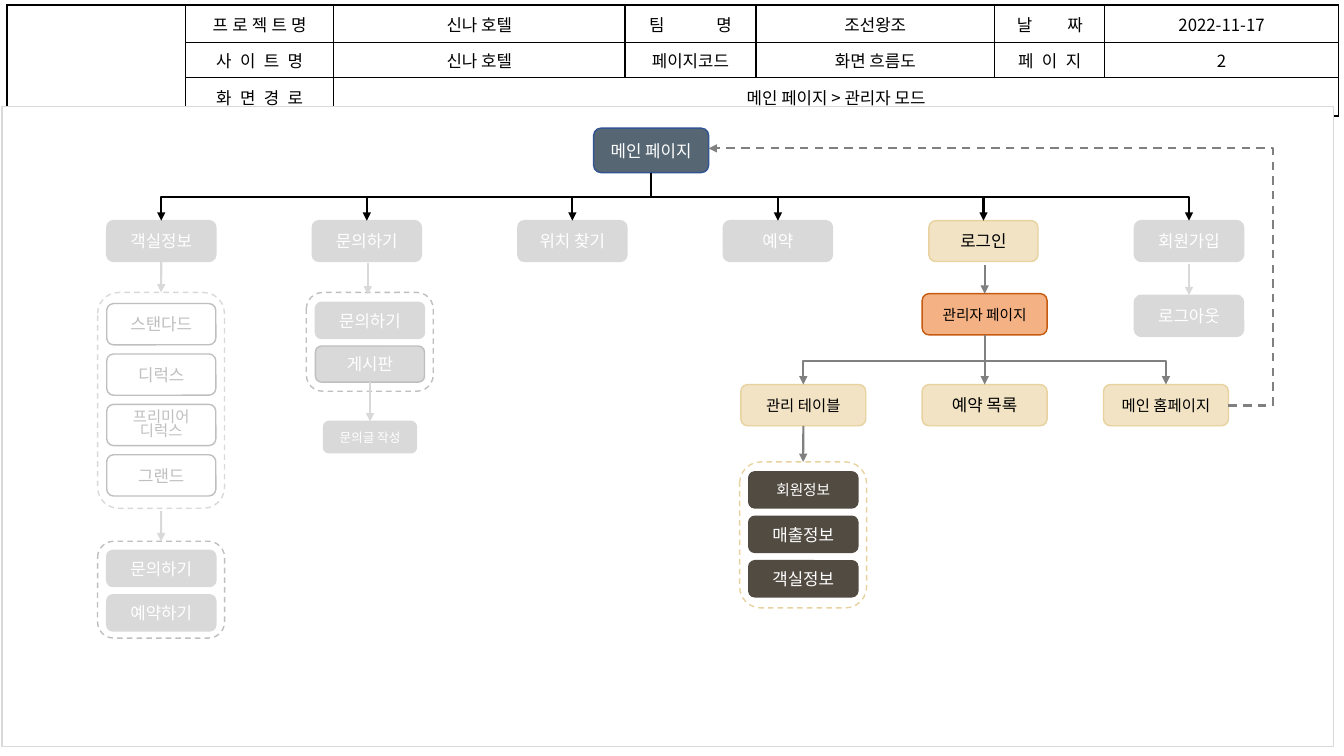
import pptx
import pptx.util
import pptx.dml.color
import pptx.enum.dml
import pptx.enum.shapes
import pptx.enum.text
import pptx.oxml.ns
from lxml import etree

Cm, Pt = pptx.util.Cm, pptx.util.Pt
qn = pptx.oxml.ns.qn
KIND = pptx.enum.shapes.MSO_CONNECTOR
SHAPE = pptx.enum.shapes.MSO_SHAPE
DASH = pptx.enum.dml.MSO_LINE.DASH
FONT = "Noto Sans CJK KR"

BLACK, WHITE, GRAY, PALE, MID = "000000", "FFFFFF", "808080", "D9D9D9", "BFBFBF"
OFF = {"fill": PALE, "edge": PALE, "ink": WHITE}
BOARD = {"fill": PALE, "edge": MID, "ink": WHITE}
ROOM = {"fill": WHITE, "edge": MID, "ink": MID}
CREAM = {"fill": "F1E3C4", "edge": "E8D2A0", "ink": BLACK}
DARK = {"fill": "524B42", "edge": "524B42", "ink": WHITE}
HOME = {"fill": "566773", "edge": "325491", "ink": WHITE}
ADMIN = {"fill": "F4B183", "edge": "C55A11", "ink": BLACK}

WIDTHS = [4.5, 3.73, 7.34, 3.3, 6.02, 2.77, 5.89]
HEIGHTS = [0.95, 0.88, 0.97]
HEAD = [
    [[], [("프로젝트명", 3)], [("신나 호텔", 0)], [("팀", 37), ("명", -1.5)],
     [("조선왕조", 0)], [("날", 25), ("짜", 0)], [("2022-11-17", 0)]],
    [[], [("사이트명", 6)], [("신나 호텔", 0)], [("페이지코드", 0)],
     [("화면 흐름도", 0)], [("페이", 6), ("지", 0)], [("2", 0)]],
    [[], [("화면경로", 6)], [("메인 페이지 > 관리자 모드", 0)], [], [], [], []],
]
MENU = ["객실정보", "문의하기", "위치 찾기", "예약", "로그인", "회원가입"]


def tint(code):
    return pptx.dml.color.RGBColor.from_string(code)


def style(thing, form):
    for name, value in form.items():
        setattr(thing, name, value)


def write(para, text, size, ink, gap=0):
    para.alignment = pptx.enum.text.PP_ALIGN.CENTER
    run = para.add_run()
    run.text = text
    style(run.font, {"name": FONT, "size": Pt(size)})
    run.font.color.rgb = tint(ink)
    props = run.font._element
    etree.SubElement(props, qn("a:ea")).set("typeface", FONT)
    if gap:
        props.set("spc", str(int(gap * 100)))


def box(slide, x, y, w, h, look, text="", size=12, kind=SHAPE.ROUNDED_RECTANGLE):
    shape = slide.shapes.add_shape(kind, Cm(x), Cm(y), Cm(w), Cm(h))
    shape.shadow.inherit = False
    if look["fill"]:
        shape.fill.solid()
        shape.fill.fore_color.rgb = tint(look["fill"])
    else:
        shape.fill.background()
    shape.line.color.rgb = tint(look["edge"])
    shape.line.width = Pt(1)
    frame = shape.text_frame
    style(frame, {"word_wrap": True, "margin_left": 0, "margin_right": 0,
                  "vertical_anchor": pptx.enum.text.MSO_ANCHOR.MIDDLE})
    lines = text.split("\n") if text else []
    for i, line in enumerate(lines):
        para = frame.add_paragraph() if i else frame.paragraphs[0]
        if len(lines) > 1:
            para.line_spacing = 0.8
        write(para, line, size, look["ink"])
    return shape


def link(slide, kind, start, end, hue):
    """Draw an arrow between two points given in centimetres."""
    line = slide.shapes.add_connector(kind, *(Cm(v) for v in (*start, *end)))
    line.line.color.rgb = tint(hue)
    line.line.width = Pt(1.5)
    pen = line.line._get_or_add_ln()
    etree.SubElement(pen, qn("a:tailEnd")).set("type", "triangle")
    etree.SubElement(line._element.spPr, qn("a:effectLst"))
    return line


def mid(shape):
    return (shape.left + shape.width / 2) / Cm(1)


def drop(slide, top, shape, hue):
    """Point down at a box, from a height or from the box above."""
    x, y = mid(shape), shape.top / Cm(1)
    free = isinstance(top, (int, float))
    line = link(slide, KIND.STRAIGHT, (x, top if free else y), (x, y), hue)
    if not free:
        line.begin_connect(top, 2)
    line.end_connect(shape, 0)


def fold(slide, start, end, hue):
    """Draw an elbow that leaves downward, by turning a sideways one."""
    (x1, y1), (x2, y2) = start, end
    side = 1 if x2 > x1 else -1
    cx, cy = (x1 + x2) / 2, (y1 + y2) / 2
    dx, dy = abs(x2 - x1) / 2, side * (y2 - y1) / 2
    line = link(slide, KIND.ELBOW, (cx + dy, cy - dx), (cx - dy, cy + dx), hue)
    turn = 270 if side > 0 else 90
    line._element.spPr.find(qn("a:xfrm")).set("rot", str(turn * 60000))


def stack(slide, x, y, h, edge, items, pad, step, tall):
    """Draw a dashed frame with a column of boxes; return frame and boxes."""
    frame = box(slide, x, y, 3.2, h, {"fill": None, "edge": edge})
    frame.line.dash_style = DASH
    cells = [box(slide, x + 0.23, y + pad + i * step, 2.75, tall, look, text, size)
             for i, (text, size, look) in enumerate(items)]
    return frame, cells


def rule(cell, sides):
    props = cell._tc.get_or_add_tcPr()
    for side, wide in sides.items():
        pen = etree.SubElement(props, qn("a:ln" + side), w=str(int(Pt(wide))))
        fill = etree.SubElement(pen, qn("a:solidFill"))
        etree.SubElement(fill, qn("a:srgbClr")).set("val", BLACK)


def header(slide, x, y):
    grid = slide.shapes.add_table(len(HEIGHTS), len(WIDTHS), Cm(x), Cm(y),
                                  Cm(sum(WIDTHS)), Cm(sum(HEIGHTS))).table
    style(grid, {"first_row": False, "horz_banding": False})
    for col, wide in zip(grid.columns, WIDTHS):
        col.width = Cm(wide)
    for row, tall in zip(grid.rows, HEIGHTS):
        row.height = Cm(tall)
    grid.cell(0, 0).merge(grid.cell(2, 0))
    grid.cell(2, 2).merge(grid.cell(2, 6))
    for i, row in enumerate(HEAD):
        for j, parts in enumerate(row):
            cell = grid.cell(i, j)
            outer = {"L": j == 0, "R": j + cell.span_width == len(WIDTHS),
                     "T": i == 0, "B": i + cell.span_height == len(HEIGHTS)}
            rule(cell, {side: 1.5 if edge else 1 for side, edge in outer.items()})
            cell.fill.solid()
            cell.fill.fore_color.rgb = tint(WHITE)
            cell.vertical_anchor = pptx.enum.text.MSO_ANCHOR.MIDDLE
            para = cell.text_frame.paragraphs[0]
            para.font.size = Pt(12)
            for text, gap in parts:
                write(para, text, 12, BLACK, gap)


def menu(slide, x, y):
    """Draw the main page and the row of menu boxes below it."""
    main = box(slide, x + 12.27, y, 2.9, 1.12, HOME, "메인 페이지")
    tabs = [box(slide, x + 5.18 * i, y + 2.33, 2.75, 1.03,
                CREAM if text == "로그인" else OFF, text)
            for i, text in enumerate(MENU)]
    for tab in (tabs[0], tabs[-1]):
        fold(slide, (mid(main), y + 1.12), (mid(tab), y + 2.33), BLACK)
    for tab in tabs[1:-1]:
        drop(slide, y + 1.72, tab, BLACK)
    return main, tabs


def rooms(slide, x, y, tab):
    names = [("스탠다드", 12), ("디럭스", 12), ("프리미어\n디럭스", 11), ("그랜드", 12)]
    types, _ = stack(slide, x, y, 5.44, PALE, [(*name, ROOM) for name in names],
                     0.28, 1.27, 1.04)
    acts, _ = stack(slide, x, y + 6.27, 2.44, MID,
                    [("문의하기", 12, OFF), ("예약하기", 12, OFF)], 0.23, 1.12, 0.91)
    drop(slide, tab, types, PALE)
    drop(slide, y + 5.51, acts, PALE)


def asking(slide, x, y):
    _, cells = stack(slide, x, y, 2.49, MID,
                     [("문의하기", 12, OFF), ("게시판", 12, BOARD)], 0.25, 1.1, 0.91)
    form = box(slide, mid(cells[1]) - 1.17, y + 3.25, 2.34, 0.79, OFF, "문의글 작성", 9)
    link(slide, KIND.STRAIGHT, (x + 1.55, y - 0.74), (x + 1.55, y + 0.05), PALE)
    drop(slide, cells[1], form, PALE)


def admin(slide, x, y, main):
    """Draw the admin page, its three pages and the way back to the main page."""
    page = box(slide, x + 4.57, y, 3.15, 1.04, ADMIN, "관리자 페이지", 10.5)
    names = [("관리 테이블", 11), ("예약 목록", 12), ("메인 홈페이지", 11)]
    kids = [box(slide, x + 4.57 * i, y + 2.29, 3.15, 1.04, CREAM, *name)
            for i, name in enumerate(names)]
    drop(slide, page, kids[1], GRAY)
    for kid in (kids[2], kids[0]):
        line = link(slide, KIND.ELBOW, (mid(page), y + 1.7), (mid(kid), y + 2.29), GRAY)
        line._element.spPr.find(qn("a:prstGeom")).set("prst", "bentConnector2")
    items = [("회원정보", 10.5, DARK), ("매출정보", 12, DARK), ("객실정보", 12, DARK)]
    frame, _ = stack(slide, x - 0.03, y + 4.24, 3.68, CREAM["edge"], items,
                     0.25, 1.12, 0.91)
    drop(slide, kids[0], frame, GRAY)
    right = (main.left + main.width) / Cm(1)
    back = link(slide, KIND.ELBOW, (x + 12.29, y + 2.82), (right, 3.74), GRAY)
    back.line.dash_style = DASH
    bend = back._element.spPr.find(qn("a:prstGeom")).find(qn("a:avLst"))
    etree.SubElement(bend, qn("a:gd"), name="adj1", fmla="val -8500")
    return page


def main():
    deck = pptx.Presentation()
    style(deck, {"slide_width": Cm(33.87), "slide_height": Cm(19.05)})
    slide = deck.slides.add_slide(deck.slide_layouts[6])
    header(slide, 0.18, 0.13)
    box(slide, 0.05, 2.69, 33.55, 16.13, {"fill": WHITE, "edge": PALE},
        kind=SHAPE.RECTANGLE)
    home, tabs = menu(slide, 2.69, 3.23)
    page = admin(slide, 18.67, 7.4, home)
    drop(slide, 6.68, page, GRAY)
    rooms(slide, 2.46, 7.37, tabs[0])
    asking(slide, 7.72, 7.37)
    leave = box(slide, 28.59, 7.44, 2.75, 1.04, OFF, "로그아웃")
    drop(slide, 6.65, leave, PALE)
    deck.save("out.pptx")


if __name__ == "__main__":
    main()
